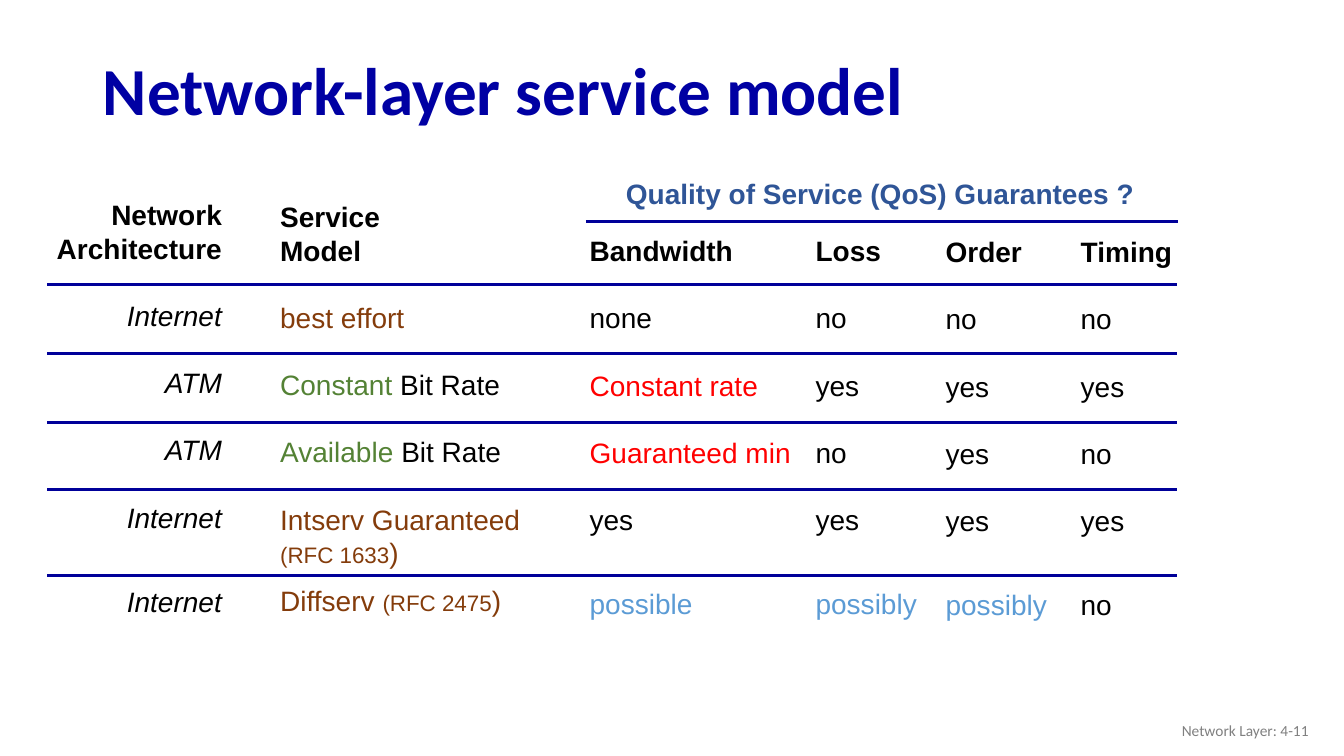
from dataclasses import dataclass

from lxml import etree
from pptx import Presentation
from pptx.dml.color import RGBColor
from pptx.enum.shapes import MSO_CONNECTOR
from pptx.enum.text import MSO_ANCHOR, PP_ALIGN
from pptx.oxml.ns import qn
from pptx.util import Inches, Pt

LEFT, RIGHT = PP_ALIGN.LEFT, PP_ALIGN.RIGHT
MIDDLE, TOP = MSO_ANCHOR.MIDDLE, MSO_ANCHOR.TOP
STRAIGHT = MSO_CONNECTOR.STRAIGHT
TITLE_ONLY = 5


@dataclass(frozen=True)
class Theme:
    title: str = "0000A3"
    rule: str = "000099"
    ink: str = "000000"
    heading: str = "2F5597"
    brown: str = "843C0B"
    green: str = "548235"
    red: str = "FF0000"
    blue: str = "5B9BD5"
    footer: str = "808080"
    title_size: int = 48
    size: int = 20
    small: int = 16
    footer_size: int = 11
    rule_width: float = 2.25
    line: int = 24
    row_gap: int = 24
    last_gap: int = 36
    table_font: str = "Arial"
    page_font: str = "Calibri"


THEME = Theme()


def add_span(para, text, color=THEME.ink, size=THEME.size,
             font=THEME.table_font, bold=False, italic=False):
    span = para.add_run()
    span.text = text
    span.font.name = font
    span.font.size = Pt(size)
    span.font.bold = bold
    span.font.italic = italic
    span.font.color.rgb = RGBColor.from_string(color)


def add_box(page, left, top, width, height, anchor=TOP):
    box = page.shapes.add_textbox(Inches(left), Inches(top), Inches(width), Inches(height))
    frame = box.text_frame
    frame.word_wrap = True
    frame.vertical_anchor = anchor
    return frame


def add_column(page, place, lines, align=LEFT):
    """Each line is (space before, list of spans); a span is (text, format)."""
    frame = add_box(page, *place)
    for index, (gap, spans) in enumerate(lines):
        para = frame.add_paragraph() if index else frame.paragraphs[0]
        para.alignment = align
        para.line_spacing = Pt(THEME.line)
        para.space_before = Pt(gap)
        for text, look in spans:
            add_span(para, text, **look)


def add_rule(page, left, right, y):
    rule = page.shapes.add_connector(STRAIGHT, Inches(left), Inches(y), Inches(right), Inches(y))
    rule.line.color.rgb = RGBColor.from_string(THEME.rule)
    rule.line.width = Pt(THEME.rule_width)
    etree.SubElement(rule.element.spPr, qn("a:effectLst"))


def add_title(page, text):
    title = page.shapes.title
    title.left, title.top = Inches(0.92), Inches(0.44)
    title.width, title.height = Inches(11.5), Inches(0.98)
    title.text_frame.vertical_anchor = MIDDLE
    para = title.text_frame.paragraphs[0]
    para.alignment = LEFT
    para.line_spacing = 0.9
    add_span(para, text, THEME.title, THEME.title_size, THEME.page_font, bold=True)


def plain_lines(header, values, last_look=None, **look):
    """Header lines, then one value a row, the last row set lower."""
    lines = [(0, [(word, {"bold": True})]) for word in header]
    lines += [(THEME.row_gap, [(value, look)]) for value in values[:-1]]
    lines.append((THEME.last_gap, [(values[-1], last_look or look)]))
    return lines


def service_lines():
    brown = {"color": THEME.brown}
    small = {"color": THEME.brown, "size": THEME.small}
    gap = THEME.row_gap
    lines = [(0, [(word, {"bold": True})]) for word in ("Service", "Model")]
    lines.append((gap, [("best effort", brown)]))
    for kind in ("Constant", "Available"):
        lines.append((gap, [(kind, {"color": THEME.green}), (" Bit Rate", {})]))
    lines += [
        (gap, [("Intserv Guaranteed", brown)]),
        (0, [("(RFC 1633", small), (")", brown)]),
        (10, [("Diffserv ", brown), ("(RFC 2475", small), (")", brown)]),
    ]
    return lines


def bandwidth_lines():
    red, blue = {"color": THEME.red}, {"color": THEME.blue}
    gap = THEME.row_gap
    return [
        (0, [("Bandwidth", {"bold": True})]),
        (gap, [("none", {})]),
        (gap, [("Constant rate", red)]),
        (gap, [("Guaranteed min", red)]),
        (gap, [("yes", {})]),
        (THEME.last_gap, [("possible", blue)]),
    ]


def main():
    deck = Presentation()
    deck.slide_width, deck.slide_height = Inches(13.33), Inches(7.5)
    page = deck.slides.add_slide(deck.slide_layouts[TITLE_ONLY])
    add_title(page, "Network-layer service model")

    # Architecture and service model columns
    networks = ["Internet", "ATM", "ATM", "Internet", "Internet"]
    add_column(page, (0.4, 1.91, 1.9, 4.31),
               plain_lines(["Network", "Architecture"], networks, italic=True), RIGHT)
    add_column(page, (2.68, 1.93, 2.89, 4.28), service_lines())

    # Guarantee columns
    blue = {"color": THEME.blue}
    add_column(page, (5.75, 2.27, 2.34, 3.97), bandwidth_lines())
    for header, left, top, width, values, last_look in (
        ("Loss", 7.99, 2.27, 1.25, ["no", "yes", "no", "yes", "possibly"], blue),
        ("Order", 9.28, 2.28, 1.25, ["no", "yes", "yes", "yes", "possibly"], blue),
        ("Timing", 10.62, 2.28, 1.2, ["no", "yes", "no", "yes", "no"], None),
    ):
        add_column(page, (left, top, width, 3.97), plain_lines([header], values, last_look))
    add_column(page, (6.11, 1.7, 5.28, 0.44), [
        (0, [("Quality of Service (QoS) Guarantees ?", {"color": THEME.heading, "bold": True})]),
    ])

    # Rules under the headings and between rows
    add_rule(page, 5.81, 11.68, 2.2)
    for y in (2.82, 3.51, 4.19, 4.86, 5.71):
        add_rule(page, 0.47, 11.67, y)

    # Page footer
    footer = add_box(page, 10.08, 7.05, 3, 0.4, MIDDLE).paragraphs[0]
    footer.alignment = RIGHT
    add_span(footer, "Network Layer: 4-11", THEME.footer, THEME.footer_size, THEME.page_font)

    deck.save("out.pptx")


if __name__ == "__main__":
    main()
